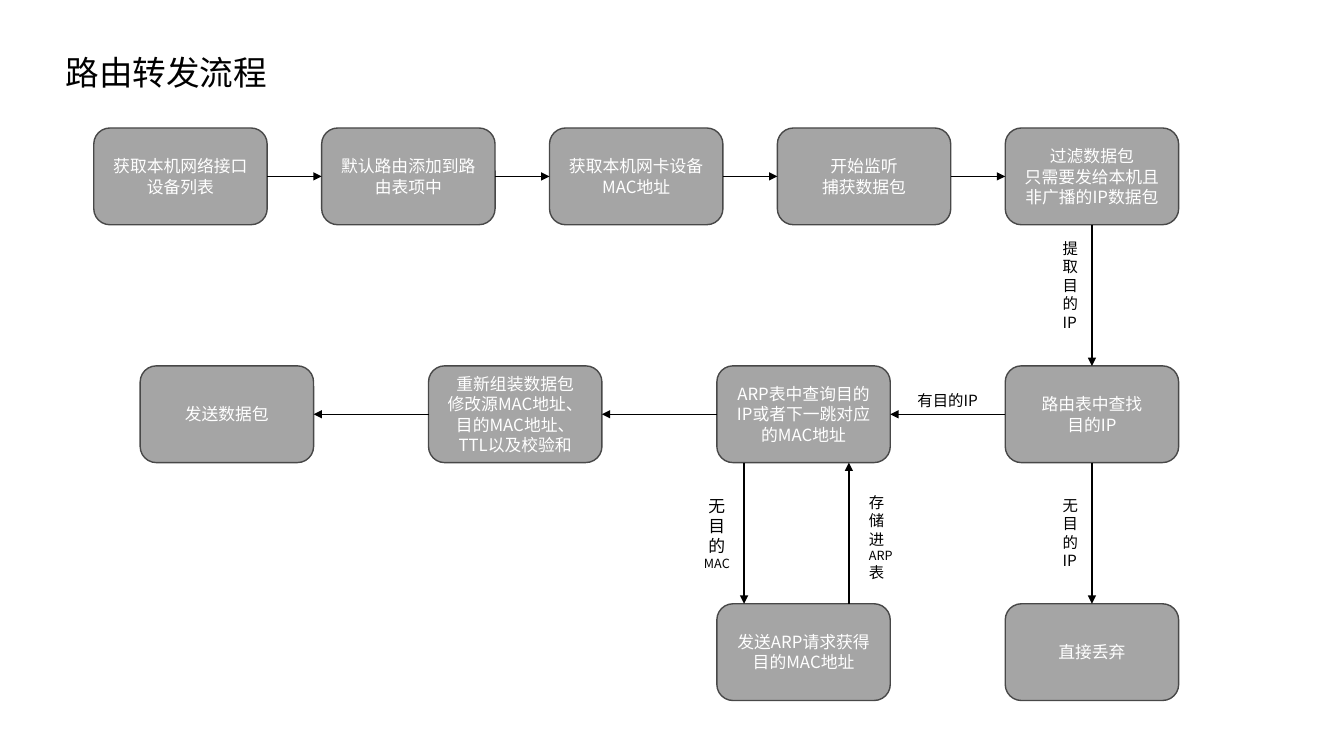
import pptx
import pptx.dml.color
import pptx.enum.shapes
import pptx.enum.text
import pptx.oxml
import pptx.oxml.ns
import pptx.util

FONT = "Noto Sans CJK SC"
BLACK, WHITE, GREY, DARK = "000000", "FFFFFF", "A5A5A5", "484848"
STEP_WIDTH, STEP_HEIGHT = 1.72, 0.96
TOP, ROW_PITCH = 1.27, 2.36
RIGHT_COLUMN, SETUP_PITCH, FORWARD_PITCH = 9.97, 2.26, 2.86
UP, LEFT, DOWN, RIGHT = 0, 1, 2, 3

SETUP_STEPS = [
    "获取本机网络接口设备列表",
    "默认路由添加到路由表项中",
    "获取本机网卡设备MAC地址",
    "开始监听\n捕获数据包",
    "过滤数据包\n只需要发给本机且非广播的IP数据包",
]
FORWARD_STEPS = [
    "路由表中查找\n目的IP",
    "ARP表中查询目的IP或者下一跳对应的MAC地址",
    "重新组装数据包\n修改源MAC地址、目的MAC地址、TTL以及校验和",
    "发送数据包",
]
LABELS = [
    ((10.44, 2.32, 0.39, 1.03), [("提取目的IP", 11)], "LEFT"),
    ((10.44, 4.87, 0.39, 0.84), [("无目的IP", 11)], "LEFT"),
    ((9, 3.83, 0.85, 0.29), [("有目的IP", 11)], "LEFT"),
    ((6.87, 4.87, 0.48, 0.86), [("无目的", 12), ("MAC", 9)], "CENTER"),
    ((8.52, 4.84, 0.47, 1.03), [("存储进", 11), ("ARP", 9), ("表", 11)], "LEFT"),
]


def colour(value):
    """Return the colour for a hex string."""
    return pptx.dml.color.RGBColor.from_string(value)


def inches(*lengths):
    """Return the lengths as a list of inches."""
    return [pptx.util.Inches(length) for length in lengths]


def apply_format(target, values):
    """Set each attribute of the target from a dict."""
    for name, value in values.items():
        setattr(target, name, value)


def outline(line, value):
    """Give a line its colour and its width of one point."""
    line.color.rgb = colour(value)
    line.width = pptx.util.Pt(1)


def write_run(paragraph, text, size, ink):
    """Add a run in the slide's font for both scripts."""
    run = paragraph.add_run()
    run.text = text
    apply_format(run.font, {"name": FONT, "size": pptx.util.Pt(size)})
    run.font.color.rgb = colour(ink)
    east_asian = pptx.oxml.parse_xml(
        f'<a:ea {pptx.oxml.ns.nsdecls("a")} typeface="{FONT}"/>')
    run.font._element.append(east_asian)


def write_paragraph(paragraph, runs, ink, alignment):
    """Fill a paragraph with sized runs."""
    paragraph.alignment = getattr(pptx.enum.text.PP_ALIGN, alignment)
    for text, size in runs:
        write_run(paragraph, text, size, ink)


def add_step(slide, text, left, row):
    """Add a rounded process step on a row of the flow."""
    step = slide.shapes.add_shape(
        pptx.enum.shapes.MSO_SHAPE.ROUNDED_RECTANGLE,
        *inches(left, TOP + row * ROW_PITCH, STEP_WIDTH, STEP_HEIGHT))
    step.shadow.inherit = False
    step.fill.solid()
    step.fill.fore_color.rgb = colour(GREY)
    outline(step.line, DARK)
    frame = step.text_frame
    apply_format(frame, {
        "word_wrap": True,
        "vertical_anchor": pptx.enum.text.MSO_ANCHOR.MIDDLE,
    })
    for number, line in enumerate(text.split("\n")):
        paragraph = frame.add_paragraph() if number else frame.paragraphs[0]
        write_paragraph(paragraph, [(line, 12)], WHITE, "CENTER")
    return step


def add_arrow(slide, start=(0, 0), end=(0, 0)):
    """Add a straight arrow between two points."""
    arrow = slide.shapes.add_connector(
        pptx.enum.shapes.MSO_CONNECTOR.STRAIGHT, *inches(*start, *end))
    outline(arrow.line, BLACK)
    namespace = pptx.oxml.ns.nsdecls("a")
    arrow.line._get_or_add_ln().append(
        pptx.oxml.parse_xml(f'<a:tailEnd {namespace} type="triangle"/>'))
    arrow._element.spPr.append(
        pptx.oxml.parse_xml(f"<a:effectLst {namespace}/>"))
    return arrow


def join(slide, source, source_side, target):
    """Join a side of one step to the facing side of another."""
    arrow = add_arrow(slide)
    arrow.begin_connect(source, source_side)
    arrow.end_connect(target, (source_side + 2) % 4)


def chain(slide, steps, side):
    """Join each step to the next one."""
    for source, target in zip(steps, steps[1:]):
        join(slide, source, side, target)


def add_label(slide, box, runs, alignment):
    """Add a wrapped label beside an arrow."""
    frame = slide.shapes.add_textbox(*inches(*box)).text_frame
    apply_format(frame, {
        "word_wrap": True,
        "auto_size": pptx.enum.text.MSO_AUTO_SIZE.SHAPE_TO_FIT_TEXT,
    })
    write_paragraph(frame.paragraphs[0], runs, BLACK, alignment)


def write_title(slide, text):
    """Place the heading in the title placeholder."""
    title = slide.shapes.title
    apply_format(title, dict(zip(
        ("left", "top", "width", "height"), inches(0.55, 0.46, 2.22, 0.5))))
    apply_format(title.text_frame, {
        "word_wrap": False,
        "auto_size": pptx.enum.text.MSO_AUTO_SIZE.SHAPE_TO_FIT_TEXT,
        "vertical_anchor": pptx.enum.text.MSO_ANCHOR.TOP,
    })
    write_paragraph(title.text_frame.paragraphs[0], [(text, 24)], BLACK, "LEFT")


def main():
    """Build the routing flow slide."""
    deck = pptx.Presentation()
    deck.slide_width, deck.slide_height = inches(13.33, 7.5)
    slide = deck.slides.add_slide(deck.slide_layouts[5])
    write_title(slide, "路由转发流程")

    setup = [
        add_step(slide, text, RIGHT_COLUMN - (4 - column) * SETUP_PITCH, 0)
        for column, text in enumerate(SETUP_STEPS)
    ]
    forward = [
        add_step(slide, text, RIGHT_COLUMN - column * FORWARD_PITCH, 1)
        for column, text in enumerate(FORWARD_STEPS)
    ]
    discard = add_step(slide, "直接丢弃", RIGHT_COLUMN, 2)
    arp_left = RIGHT_COLUMN - FORWARD_PITCH
    add_step(slide, "发送ARP请求获得目的MAC地址", arp_left, 2)

    chain(slide, setup, RIGHT)
    chain(slide, forward, LEFT)
    chain(slide, [setup[-1], forward[0], discard], DOWN)

    lookup_bottom = TOP + ROW_PITCH + STEP_HEIGHT
    request_top = TOP + 2 * ROW_PITCH
    request_x, reply_x = arp_left + 0.27, arp_left + 1.31
    add_arrow(slide, (request_x, lookup_bottom), (request_x, request_top))
    add_arrow(slide, (reply_x, request_top), (reply_x, lookup_bottom))

    for box, runs, alignment in LABELS:
        add_label(slide, box, runs, alignment)
    deck.save("out.pptx")


if __name__ == "__main__":
    main()
